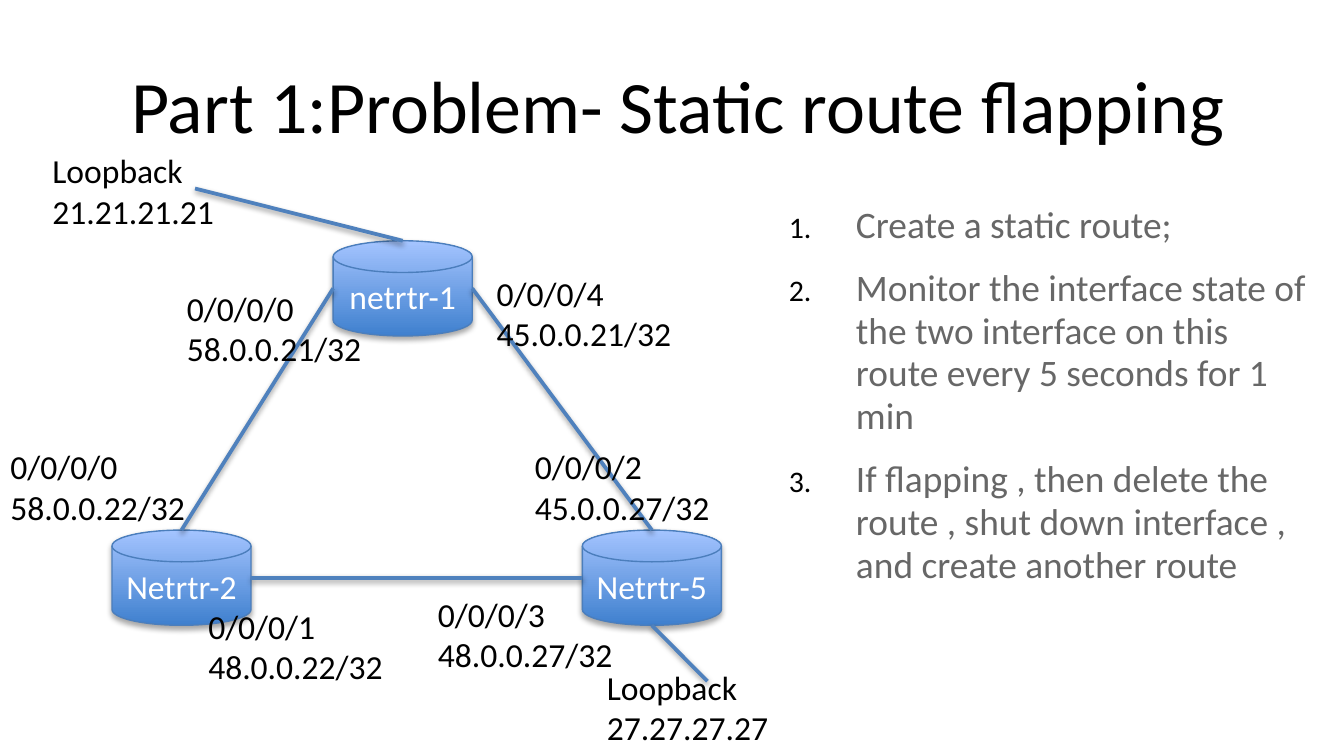
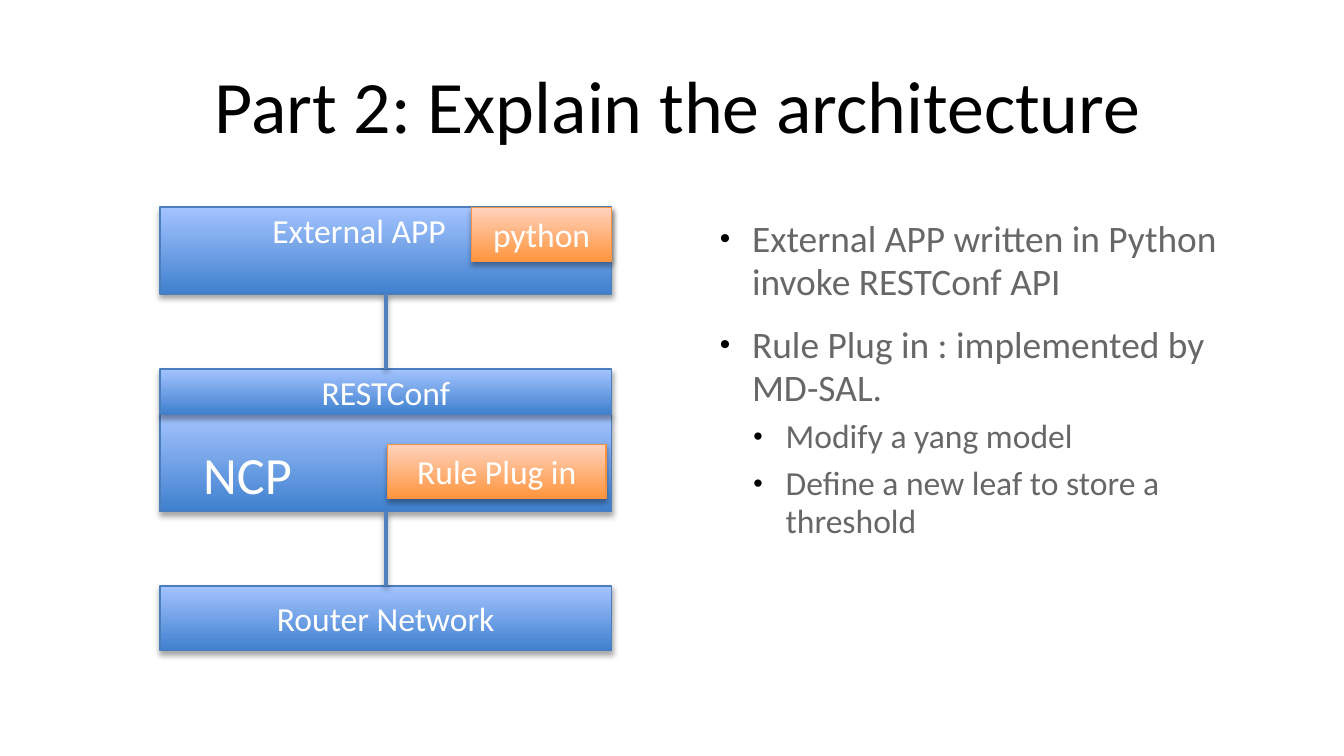
from typing import NamedTuple

from lxml import etree
from pptx import Presentation
from pptx.dml.color import RGBColor
from pptx.enum.shapes import MSO_CONNECTOR, MSO_SHAPE
from pptx.enum.text import MSO_ANCHOR, PP_ALIGN
from pptx.oxml import parse_xml
from pptx.oxml.ns import nsdecls, qn
from pptx.util import Pt

RECT, DISK = MSO_SHAPE.RECTANGLE, MSO_SHAPE.FLOWCHART_MAGNETIC_DISK
STRAIGHT = MSO_CONNECTOR.STRAIGHT
TOP, MIDDLE, BOTTOM = MSO_ANCHOR.TOP, MSO_ANCHOR.MIDDLE, MSO_ANCHOR.BOTTOM
LEFT, CENTER = PP_ALIGN.LEFT, PP_ALIGN.CENTER

FONT = "Calibri"
BLACK, WHITE, GRAY = "000000", "FFFFFF", "676767"
LINK = "4F81BD"
# Bottom of gradient, top of gradient, outline
BLUE = ("3F80CE", "A4C4FF", "4B7EBC")
ORANGE = ("FF953E", "FFD2BD", "F69240")


class Box(NamedTuple):
    left: float
    top: float
    width: float
    height: float

    def inner(self, left, top, width, height):
        return Box(self.left + left, self.top + top, width, height)

    def point(self, across, down):
        """Point at the given fractions of the width and height."""
        return self.left + across * self.width, self.top + down * self.height

    def points(self):
        return [Pt(value) for value in self]


TITLE_BOX = Box(34.5, 27, 657.5, 57.6)


def color(code):
    return RGBColor.from_string(code)


def set_all(target, values):
    for name, value in values.items():
        setattr(target, name, value)


def add_shadow(element, opacity, distance):
    properties = element.spPr
    for old in properties.findall(qn("a:effectLst")):
        properties.remove(old)
    properties.append(parse_xml(
        f'<a:effectLst {nsdecls("a")}><a:outerShdw blurRad="{Pt(3.1)}" '
        f'dist="{Pt(distance)}" dir="5400000" rotWithShape="0">'
        f'<a:srgbClr val="{BLACK}"><a:alpha val="{opacity * 1000}"/></a:srgbClr>'
        '</a:outerShdw></a:effectLst>'))


def write(para, text, size, code):
    span = para.add_run()
    span.text = text
    set_all(span.font, {"name": FONT, "size": Pt(size)})
    span.font.color.rgb = color(code)


def add_text(page, box, lines, size=18, code=BLACK, wrap=False, anchor=TOP, align=LEFT):
    frame = page.shapes.add_textbox(*box.points()).text_frame
    set_all(frame, {"word_wrap": wrap, "vertical_anchor": anchor})
    for index, line in enumerate(lines):
        para = frame.add_paragraph() if index else frame.paragraphs[0]
        para.alignment = align
        write(para, line, size, code)
    return frame


def add_title(page, text):
    add_text(page, TITLE_BOX, [text], 39.6, wrap=True, anchor=MIDDLE, align=CENTER)


def add_list(page, box, items, indents, hanging, numbered=False):
    """Items are (level, text); indents holds the text indent of each level."""
    frame = add_text(page, box, [], wrap=True)
    for index, (level, text) in enumerate(items):
        para = frame.add_paragraph() if index else frame.paragraphs[0]
        set_all(para, {"level": level, "line_spacing": 0.95,
                       "space_before": Pt((11.1, 4.5)[level])})
        write(para, text, (20, 18)[level], GRAY)
        properties = para._p.get_or_add_pPr()
        properties.set("marL", str(Pt(indents[level])))
        properties.set("indent", str(Pt(-hanging)))
        bullet_color = etree.SubElement(properties, qn("a:buClr"))
        etree.SubElement(bullet_color, qn("a:srgbClr"), val=BLACK)
        etree.SubElement(properties, qn("a:buSzPct"), val="80000")
        if numbered:
            etree.SubElement(properties, qn("a:buFont"), typeface=FONT)
            etree.SubElement(properties, qn("a:buAutoNum"), type="arabicPeriod")
        else:
            etree.SubElement(properties, qn("a:buFont"), typeface="Arial")
            etree.SubElement(properties, qn("a:buChar"), char="•")


def add_block(page, box, text, kind=RECT, colors=BLUE, size=18,
              anchor=MIDDLE, indent=None):
    """Shaded shape; its text is centred unless an indent is given."""
    shape = page.shapes.add_shape(kind, *box.points())
    bottom, top, outline = colors
    shape.fill.gradient()
    shape.fill.gradient_angle = 90
    for stop, code in zip(shape.fill.gradient_stops, (bottom, top)):
        stop.color.rgb = color(code)
    shape.line.color.rgb = color(outline)
    shape.line.width = Pt(0.75)
    add_shadow(shape._element, 35, 1.8)
    frame = shape.text_frame
    set_all(frame, {"word_wrap": True, "vertical_anchor": anchor})
    if anchor == TOP:
        frame.margin_top = Pt(1.5)
    para = frame.paragraphs[0]
    para.alignment = CENTER if indent is None else LEFT
    if indent:
        frame.margin_left = Pt(7.2 + indent)
    write(para, text, size, WHITE)


def add_link(page, start, end):
    ends = [Pt(value) for value in (*start, *end)]
    link = page.shapes.add_connector(STRAIGHT, *ends)
    link.line.color.rgb = color(LINK)
    link.line.width = Pt(2)
    add_shadow(link._element, 38, 1.6)


def add_topology(page, box):
    places = {"netrtr-1": (178.5, 52), "Netrtr-5": (312, 207), "Netrtr-2": (60, 207)}
    routers = [box.inner(*place, 74.5, 51) for place in places.values()]
    for name, router in zip(places, routers):
        add_block(page, router, name, DISK)

    first, fifth, second = routers
    add_link(page, first.point(0, 0.5), second.point(0.5, 0))
    add_link(page, first.point(1, 0.5), fifth.point(0.5, 0))
    add_link(page, second.point(1, 0.5), fifth.point(0, 0.5))
    add_link(page, first.point(0.5, 0), box.inner(104.5, 24, 0, 0)[:2])
    add_link(page, fifth.point(0.5, 1), box.inner(379, 288, 0, 0)[:2])

    labels = [
        (93, 73.5, "0/0/0/0", "58.0.0.21/32"),
        (21, 0, "Loopback", "21.21.21.21"),
        (259, 65.5, "0/0/0/4", "45.0.0.21/32"),
        (279.5, 158.5, "0/0/0/2", "45.0.0.27/32"),
        (227.5, 237.5, "0/0/0/3", "48.0.0.27/32"),
        (104.5, 244, "0/0/0/1", "48.0.0.22/32"),
        (-1.5, 158.5, "0/0/0/0", "58.0.0.22/32"),
        (318, 276.5, "Loopback", "27.27.27.27"),
    ]
    for left, top, port, address in labels:
        width = 102 if port == "Loopback" else 108.5
        add_text(page, box.inner(left, top, width, 51), [port, address])


def add_stack(page, box):
    """Layers of the architecture, top to bottom, with links in the gaps."""
    gap = 40
    app = box.inner(0, 0, box.width, 46.6)
    rest = app.inner(0, app.height + gap, box.width, 24.4)
    controller = rest.inner(0, rest.height, box.width, 52)
    network = controller.inner(0, controller.height + gap, box.width, 34.6)

    add_block(page, app, "External APP", anchor=TOP, indent=53)
    add_block(page, app.inner(box.width - 75, 0, 75, 29), "python", colors=ORANGE)
    add_block(page, controller, "NCP", size=28, anchor=BOTTOM, indent=16)
    add_block(page, rest, "RESTConf")
    add_block(page, controller.inner(122, 16, 117, 29), "Rule Plug in", colors=ORANGE)
    add_block(page, network, "Router Network")
    for upper, lower in ((app, rest), (controller, network)):
        add_link(page, upper.point(0.5, 1), lower.point(0.5, 0))


def build_problem(page):
    add_title(page, "Part 1:Problem- Static route flapping")
    steps = [
        (0, "Create a static route;"),
        (0, "Monitor the interface state of the two interface on this route "
            "every 5 seconds for 1 min"),
        (0, "If flapping , then delete the route , shut down interface , "
            "and create another route"),
    ]
    add_list(page, Box(411, 106, 296.5, 249), steps, [40.5], 36, numbered=True)
    add_topology(page, Box(0, 77, 420, 328))


def build_architecture(page):
    add_title(page, "Part 2: Explain the architecture")
    notes = [
        (0, "External APP written in Python invoke RESTConf API"),
        (0, "Rule Plug in : implemented by MD-SAL."),
        (1, "Modify a yang model"),
        (1, "Define a new leaf to store a threshold"),
    ]
    add_list(page, Box(373.5, 113.5, 314.5, 249), notes, [22.3, 40.3], 17.3)
    add_stack(page, Box(85.7, 111, 242, 237.6))


def main():
    deck = Presentation()
    set_all(deck, {"slide_width": Pt(720), "slide_height": Pt(405)})
    for build in (build_problem, build_architecture):
        build(deck.slides.add_slide(deck.slide_layouts[6]))
    deck.save("out.pptx")


if __name__ == "__main__":
    main()
